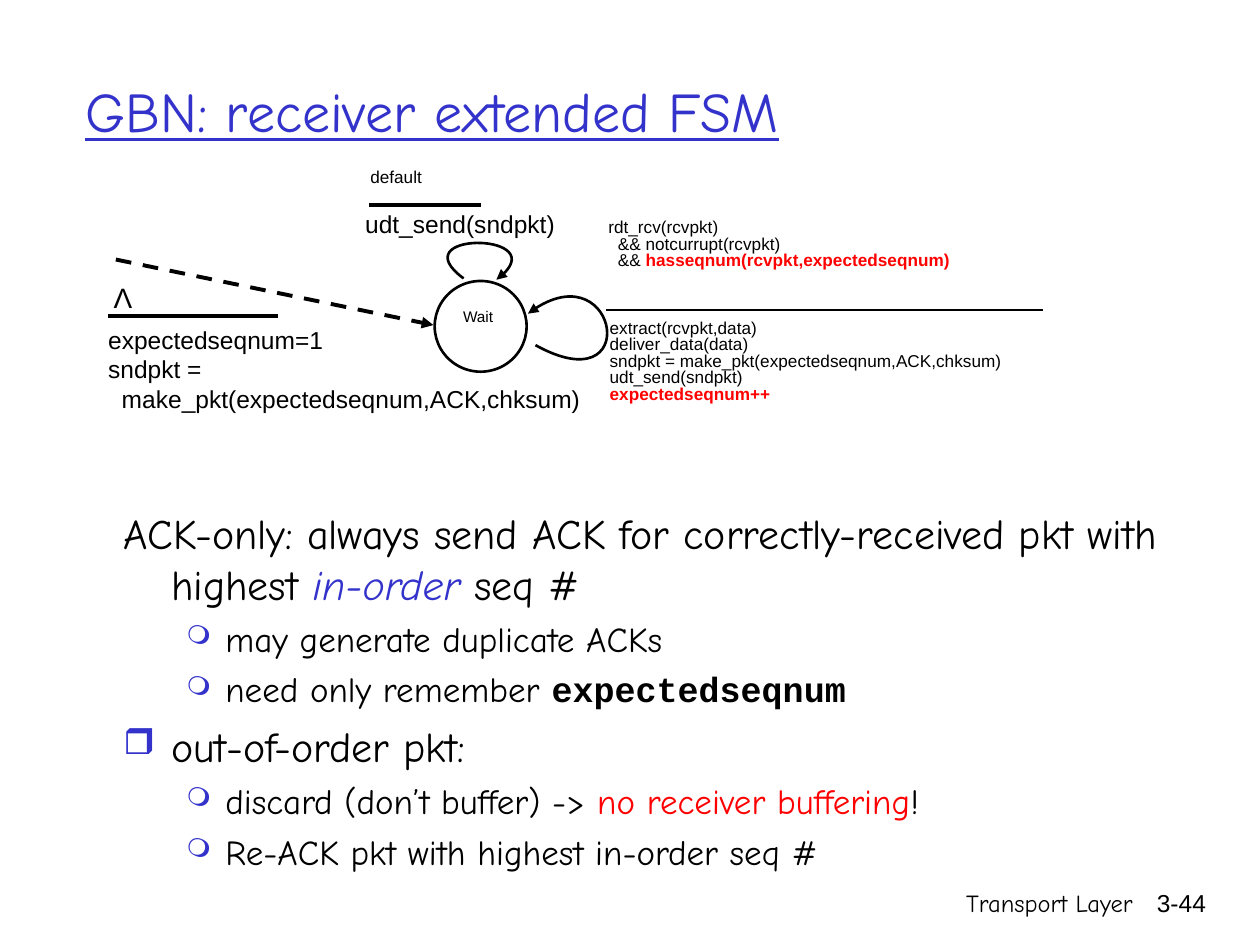
import dataclasses

import lxml.etree
import pptx
import pptx.dml.color
import pptx.enum.dml
import pptx.enum.shapes
import pptx.enum.text
import pptx.oxml.ns
import pptx.util

WIDTH, HEIGHT = pptx.util.Inches(10), pptx.util.Inches(7.5)
COLUMN, ROW = WIDTH / 100, HEIGHT / 75
COLORS = {"ink": "000000", "accent": "3333CC", "alert": "FF0000", "paper": "FFFFFF"}
ALIGN = pptx.enum.text.PP_ALIGN
ANCHOR = pptx.enum.text.MSO_ANCHOR
qn = pptx.oxml.ns.qn

HAND = {"name": "Comic Neue", "size": 14}
CODE = {"name": "Arial", "size": 14}
SMALL_CODE = CODE | {"size": 9.8}
TIGHT = {"line_spacing": 0.8}
ALERT_CODE = {"bold": True, "color": "alert"}

# indent columns, hanging columns, size, space before, bullet share
TOPIC = {"margin": 3.8, "hang": 3.8, "size": 24, "before": 6, "bullet": "❒", "share": 85}
POINT = {"margin": 8.1, "hang": 3.1, "size": 20, "before": 5, "bullet": "❍", "share": 75}
BODY = [
    (TOPIC | {"bullet": None, "before": 0}, [
        ("ACK-only: always send ACK for correctly-received pkt with highest ", {}),
        ("in-order", {"italic": True, "color": "accent"}),
        (" seq #", {})]),
    (POINT, [("may generate duplicate ACKs", {})]),
    (POINT, [("need only remember ", {}),
             ("expectedseqnum", {"name": "Courier New", "bold": True})]),
    (TOPIC, [("out-of-order pkt:", {})]),
    (POINT, [("discard (don’t buffer) -> ", {}),
             ("no receiver buffering", {"color": "alert"}), ("!", {})]),
    (POINT, [("Re-ACK pkt with highest in-order seq #", {})]),
]


@dataclasses.dataclass
class Box:
    """An area in grid columns and rows."""
    left: float
    top: float
    columns: float
    rows: float

    def area(self, left, top, columns, rows):
        return Box(self.left + left, self.top + top, columns, rows)

    def point(self, column, row):
        return round((self.left + column) * COLUMN), round((self.top + row) * ROW)

    def emu(self):
        return (*self.point(0, 0), round(self.columns * COLUMN), round(self.rows * ROW))


def rgb(key):
    return pptx.dml.color.RGBColor.from_string(COLORS[key])


def set_all(target, values):
    for attribute, value in values.items():
        setattr(target, attribute, value)


def add_run(paragraph, text, style):
    run = paragraph.add_run()
    run.text = text
    style = {"color": "ink"} | style
    run.font.color.rgb = rgb(style.pop("color"))
    set_all(run.font, style | {"size": pptx.util.Pt(style["size"])})


def add_frame(slide, box, **frame_format):
    frame = slide.shapes.add_textbox(*box.emu()).text_frame
    set_all(frame, {"word_wrap": True} | frame_format)
    return frame


def paragraphs_of(frame, count):
    return [frame.paragraphs[0]] + [frame.add_paragraph() for _ in range(count - 1)]


def add_text(slide, box, lines, style, layout=None, **frame_format):
    """Each line is a string or a list of (text, style changes) runs."""
    frame = add_frame(slide, box, **frame_format)
    for paragraph, line in zip(paragraphs_of(frame, len(lines)), lines):
        set_all(paragraph, layout or {})
        runs = [(line, {})] if isinstance(line, str) else line
        for text, changes in runs:
            add_run(paragraph, text, style | changes)


def set_bullet(paragraph, level):
    properties = paragraph._p.get_or_add_pPr()
    properties.set("marL", str(round(level["margin"] * COLUMN)))
    properties.set("indent", str(round(-level["hang"] * COLUMN)))
    if not level["bullet"]:
        lxml.etree.SubElement(properties, qn("a:buNone"))
        return
    color = lxml.etree.SubElement(properties, qn("a:buClr"))
    lxml.etree.SubElement(color, qn("a:srgbClr"), val=COLORS["accent"])
    lxml.etree.SubElement(properties, qn("a:buSzPct"), val=str(level["share"] * 1000))
    lxml.etree.SubElement(properties, qn("a:buChar"), char=level["bullet"])


def style_stroke(line, width, arrow=False, dash=None):
    line.color.rgb = rgb("ink")
    line.width = pptx.util.Pt(width)
    if dash:
        line.dash_style = dash
    if arrow:
        lxml.etree.SubElement(line._get_or_add_ln(), qn("a:tailEnd"), type="triangle")


def add_line(slide, box, start, end, width, **stroke):
    connector = slide.shapes.add_connector(
        pptx.enum.shapes.MSO_CONNECTOR.STRAIGHT, *box.point(*start), *box.point(*end))
    style_stroke(connector.line, width, **stroke)
    lxml.etree.SubElement(connector._element.spPr, qn("a:effectLst"))


def add_loop(slide, box, start, *bends_and_end):
    """A cubic curve with an arrowhead: two control points, then the end."""
    builder = slide.shapes.build_freeform(*box.point(*start))
    builder.add_line_segments([box.point(*p) for p in bends_and_end], close=False)
    loop = builder.convert_to_shape()
    outline = loop._element.find(".//" + qn("a:path"))
    curve = lxml.etree.SubElement(outline, qn("a:cubicBezTo"))
    for segment in outline.findall(qn("a:lnTo")):
        curve.append(segment[0])
        outline.remove(segment)
    loop.shadow.inherit = False
    loop.fill.background()
    style_stroke(loop.line, 1.5, arrow=True)


def draw_title(slide, box):
    add_text(slide, box, ["GBN: receiver extended FSM"],
             HAND | {"size": 32, "color": "accent", "underline": True},
             vertical_anchor=ANCHOR.MIDDLE)


def draw_wait_state(slide, box):
    state = slide.shapes.add_shape(
        pptx.enum.shapes.MSO_SHAPE.OVAL, *box.emu())
    state.shadow.inherit = False
    state.fill.solid()
    state.fill.fore_color.rgb = rgb("paper")
    style_stroke(state.line, 1.5)
    add_text(slide, box.area(-0.9, 1.9, 8.7, 2.6), ["Wait"], CODE | {"size": 8.8},
             TIGHT | {"alignment": ALIGN.CENTER})


def draw_state_machine(slide, box):
    draw_wait_state(slide, box.area(27.5, 9.3, 7.3, 7.2))

    # start transition
    add_line(slide, box, (2.2, 7.6), (27.4, 12.8), 2.25, arrow=True,
             dash=pptx.enum.dml.MSO_LINE.DASH)
    add_line(slide, box, (1.6, 12.1), (15.1, 12.1), 2.25)
    add_text(slide, box.area(1, 8.8, 3.5, 3.7), ["Λ"], CODE | {"size": 16},
             {"alignment": ALIGN.CENTER}, word_wrap=False)
    add_text(slide, box.area(0.6, 12.3, 39.8, 10.7), [
        "expectedseqnum=1",
        "sndpkt =",
        "  make_pkt(expectedseqnum,ACK,chksum)"], CODE)

    # default transition
    add_loop(slide, box, (29.8, 9.1), (24.8, 5.4), (37.5, 5.4), (32.4, 9.2))
    add_line(slide, box, (22.3, 3.3), (31.2, 3.3), 2.25)
    add_text(slide, box.area(21.4, 0, 7.9, 2.7), ["default"], SMALL_CODE, TIGHT)
    add_text(slide, box.area(21, 3.1, 17.7, 3.4), ["udt_send(sndpkt)"], CODE)

    # in-order packet transition
    add_loop(slide, box, (35.5, 14.4), (44, 19.1), (42, 6.5), (34.9, 11.9))
    add_line(slide, box, (41.1, 11.6), (75.8, 11.6), 1.5)
    add_text(slide, box.area(40.3, 4, 46, 6.2), [
        "rdt_rcv(rcvpkt)",
        "  && notcurrupt(rcvpkt)",
        [("  && ", {}), ("hasseqnum(rcvpkt,expectedseqnum)", ALERT_CODE)]],
        SMALL_CODE, TIGHT)
    add_text(slide, box.area(40.4, 12, 47.2, 9.4), [
        "extract(rcvpkt,data)",
        "deliver_data(data)",
        "sndpkt = make_pkt(expectedseqnum,ACK,chksum)",
        "udt_send(sndpkt)",
        [("expectedseqnum++", ALERT_CODE)]], SMALL_CODE, TIGHT)


def draw_body(slide, box):
    frame = add_frame(slide, box)
    for paragraph, (level, runs) in zip(paragraphs_of(frame, len(BODY)), BODY):
        set_bullet(paragraph, level)
        if level["before"]:
            paragraph.space_before = pptx.util.Pt(level["before"])
        for text, changes in runs:
            add_run(paragraph, text, HAND | {"size": level["size"]} | changes)


def draw_footer(slide, box):
    right = {"alignment": ALIGN.RIGHT}
    add_text(slide, box.area(0, 0, 31.7, box.rows), ["Transport Layer"], HAND, right)
    add_text(slide, box.area(30.1, 0, 7.4, box.rows), ["3-44"], CODE, right)


def main():
    deck = pptx.Presentation()
    set_all(deck, {"slide_width": WIDTH, "slide_height": HEIGHT})
    slide = deck.slides.add_slide(deck.slide_layouts[6])
    draw_footer(slide, Box(59.2, 70, 37.5, 5))
    draw_title(slide, Box(5.8, 2.5, 85, 12.5))
    draw_body(slide, Box(8.8, 39.8, 89.1, 31.2))
    draw_state_machine(slide, Box(7, 13, 88, 23))
    deck.save("out.pptx")


if __name__ == "__main__":
    main()
